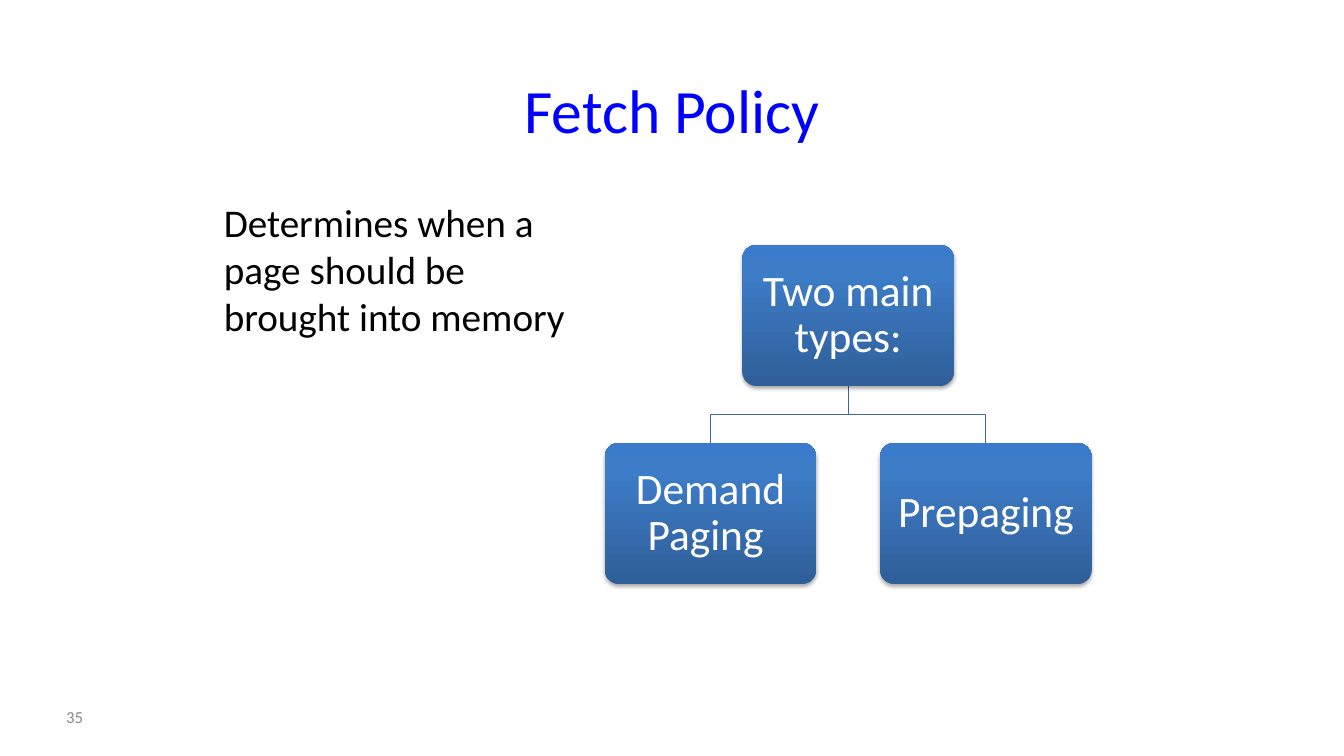
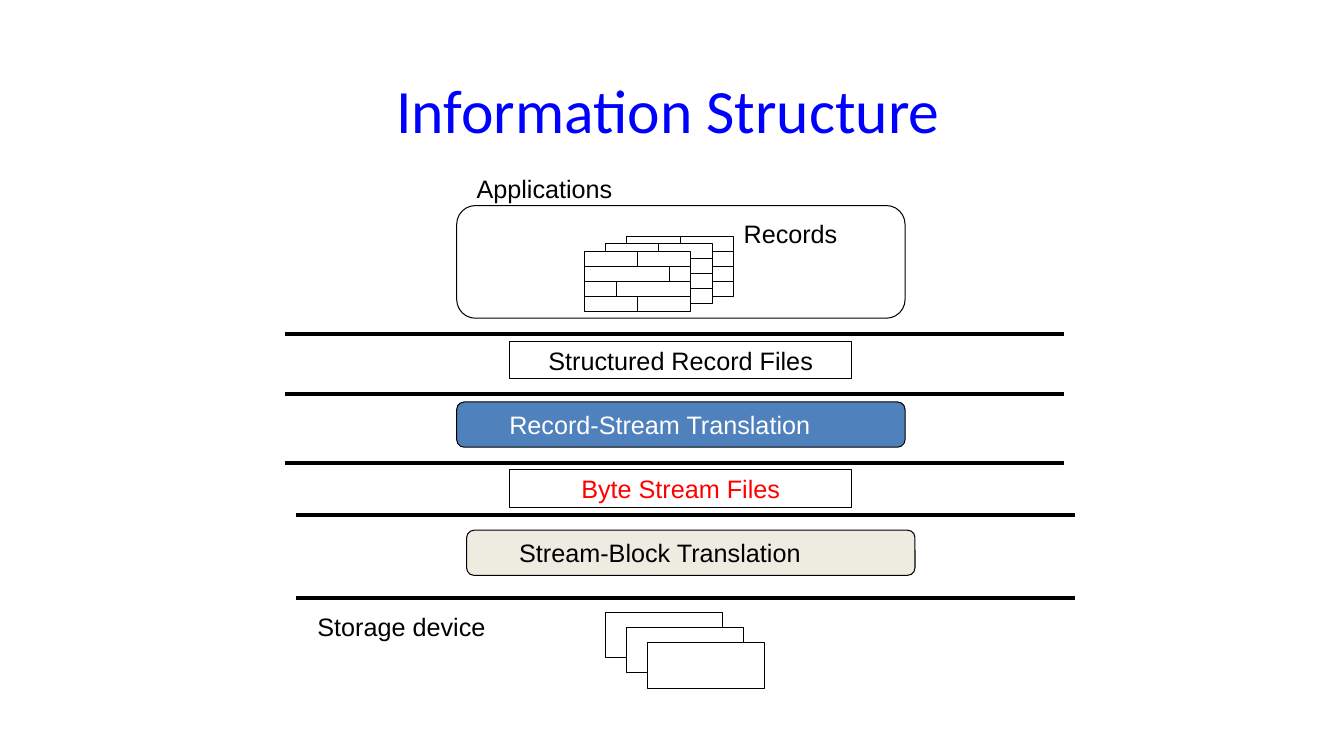
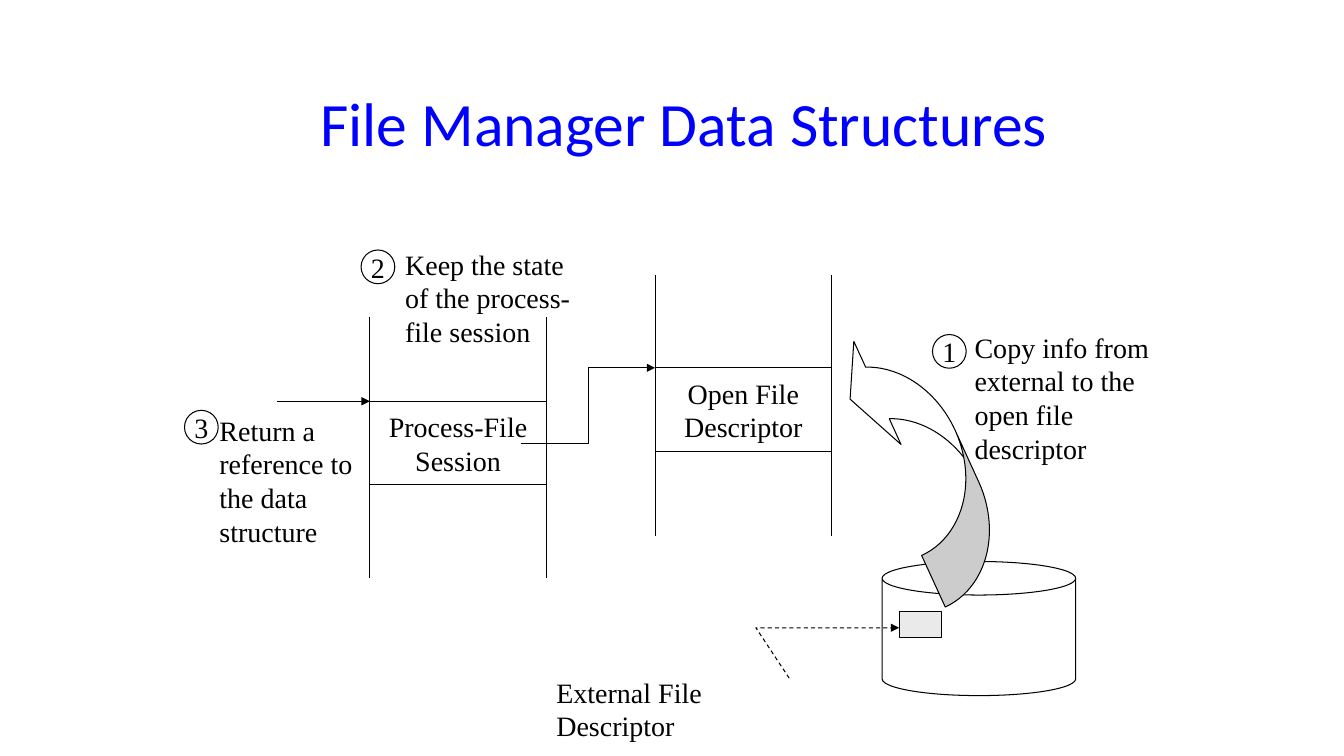
from dataclasses import dataclass
from typing import NamedTuple, Sequence

from lxml.etree import SubElement
from pptx import Presentation
from pptx.dml.color import RGBColor
from pptx.enum.dml import MSO_LINE
from pptx.enum.shapes import MSO_CONNECTOR as CONN, MSO_SHAPE as SHAPE
from pptx.enum.text import MSO_ANCHOR as ANCHOR, PP_ALIGN as ALIGN
from pptx.oxml import parse_xml
from pptx.oxml.ns import nsdecls, qn
from pptx.util import Cm, Pt

# Shared look
BLACK, WHITE, RED = "000000", "FFFFFF", "FF0000"
BLUE, CREAM, GREY = "4F81BD", "EEECE1", "EAEAEA"
TREE_LINE = "3F6797"
NODE_STOPS = ((0, "2F5F99"), (80, "3D7CC7"), (100, "3A7CCB"))


class Style(NamedTuple):
    font: str
    size: float
    color: str = BLACK


TITLE = Style("Calibri", 44, "0000FF")
BODY = Style("Calibri", 28)
NODE = Style("Calibri", 31, WHITE)
PAGE_NUMBER = Style("Calibri", 12, "898989")
LABEL = Style("Arial", 18)
SERIF = Style("Times New Roman", 20)


class Box(NamedTuple):
    """Position and size in centimetres."""
    x: float
    y: float
    w: float
    h: float

    def emu(self) -> list:
        return [Cm(v) for v in self]


class Point(NamedTuple):
    x: float
    y: float


@dataclass
class Layer:
    box: Box
    text: str
    color: str = BLACK
    fill: str = WHITE
    rounded: bool = False


@dataclass
class FileTable:
    entry: Box
    rail_top: float
    lines: Sequence[str]


@dataclass
class Step:
    number: str
    circle: Point
    box: Box
    text: str


# Drawing helpers
def rgb(color: str) -> RGBColor:
    return RGBColor.from_string(color)


def write(tf, lines: Sequence[str], style: Style, align=ALIGN.LEFT,
          anchor=ANCHOR.TOP, wrap: bool = True, spacing: float = 1.0) -> None:
    tf.word_wrap = wrap
    tf.vertical_anchor = anchor
    for i, line in enumerate(lines):
        p = tf.paragraphs[0] if i == 0 else tf.add_paragraph()
        p.alignment = align
        p.line_spacing = spacing
        r = p.add_run()
        r.text = line
        r.font.name = style.font
        r.font.size = Pt(style.size)
        r.font.color.rgb = rgb(style.color)


def add_label(s, box: Box, text: str, style: Style, **layout) -> None:
    write(s.shapes.add_textbox(*box.emu()).text_frame, [text], style, **layout)


def add_title(s, box: Box, text: str) -> None:
    add_label(s, box, text, TITLE, align=ALIGN.CENTER, anchor=ANCHOR.MIDDLE)


def set_line(sp, color: str = BLACK, width: float = 0.75,
             dashed: bool = False, arrow: bool = False) -> None:
    sp.line.color.rgb = rgb(color)
    sp.line.width = Pt(width)
    if dashed:
        sp.line.dash_style = MSO_LINE.DASH
    if arrow:
        ln = sp._element.spPr.find(qn("a:ln"))
        SubElement(ln, qn("a:tailEnd"), type="triangle")


def add_box(s, kind, box: Box, fill: str = WHITE):
    sp = s.shapes.add_shape(kind, *box.emu())
    sp.shadow.inherit = False
    sp.fill.solid()
    sp.fill.fore_color.rgb = rgb(fill)
    set_line(sp)
    return sp


def add_line(s, start: Point, end: Point, kind=CONN.STRAIGHT, **look) -> None:
    c = s.shapes.add_connector(kind, *(Cm(v) for v in (*start, *end)))
    set_line(c, **look)
    SubElement(c._element.spPr, qn("a:effectLst"))


def add_polyline(s, points: Sequence[Point], **look) -> None:
    start, *rest = [(Cm(p.x), Cm(p.y)) for p in points]
    builder = s.shapes.build_freeform(*start)
    builder.add_line_segments(rest, close=False)
    sp = builder.convert_to_shape()
    sp.shadow.inherit = False
    sp.fill.background()
    set_line(sp, **look)


# Slide: fetch policy
def add_node(s, box: Box, text: str) -> None:
    sp = s.shapes.add_shape(SHAPE.ROUNDED_RECTANGLE, *box.emu())
    sp.adjustments[0] = 0.1
    sp.line.fill.background()
    sp.shadow.inherit = False
    spPr = sp._element.spPr
    stops = "".join(f'<a:gs pos="{pos * 1000}"><a:srgbClr val="{color}"/></a:gs>'
                    for pos, color in NODE_STOPS)
    spPr.find(qn("a:prstGeom")).addnext(parse_xml(
        f'<a:gradFill {nsdecls("a")} rotWithShape="1"><a:gsLst>{stops}</a:gsLst>'
        '<a:lin ang="16200000" scaled="0"/></a:gradFill>'))
    spPr.find(qn("a:effectLst")).append(parse_xml(
        f'<a:outerShdw {nsdecls("a")} blurRad="{Pt(3.1)}" dist="{Pt(1.8)}" '
        'dir="5400000" rotWithShape="0"><a:srgbClr val="000000">'
        '<a:alpha val="35000"/></a:srgbClr></a:outerShdw>'))
    tf = sp.text_frame
    tf.margin_left = tf.margin_right = tf.margin_top = tf.margin_bottom = Cm(0.2)
    write(tf, [text], NODE, ALIGN.CENTER, ANCHOR.MIDDLE, spacing=0.9)


def fetch_policy(s) -> None:
    add_title(s, Box(6.07, 1.27, 21.74, 2.97), "Fetch Policy")
    add_label(s, Box(5.39, 4.88, 9.53, 4.45),
              "Determines when a page should be brought into memory", BODY)

    # Tree with the root centred over its children
    w, h, pitch = 5.33, 3.56, 6.94
    left, root_y, child_y = 15.24, 6.17, 11.16
    root = Box(left + pitch / 2, root_y, w, h)
    root_mid, root_end = root.x + w / 2, root_y + h
    bend = (root_end + child_y) / 2
    for i, text in enumerate(("Demand Paging ", "Prepaging")):
        child = Box(left + i * pitch, child_y, w, h)
        mid = child.x + w / 2
        add_polyline(s, [Point(root_mid, root_end), Point(root_mid, bend),
                         Point(mid, bend), Point(mid, child_y)], color=TREE_LINE)
        add_node(s, child, text)
    add_node(s, root, "Two main types:")

    add_label(s, Box(1.42, 17.56, 3.66, 1.02), "35", PAGE_NUMBER,
              anchor=ANCHOR.MIDDLE)


# Slide: information structure
def add_record(s, x: float, y: float) -> None:
    width, row_height = 2.69, 0.38
    for row, share in enumerate((0.5, 0.8, 0.3, 0.5)):
        top, cut = y + row * row_height, width * share
        add_box(s, SHAPE.RECTANGLE, Box(x, top, cut, row_height))
        add_box(s, SHAPE.RECTANGLE, Box(x + cut, top, width - cut, row_height))


def add_layer(s, layer: Layer) -> None:
    kind = SHAPE.ROUNDED_RECTANGLE if layer.rounded else SHAPE.RECTANGLE
    sp = add_box(s, kind, layer.box, layer.fill)
    if layer.rounded:
        sp.text_frame.margin_left = Cm(1.27)
    write(sp.text_frame, [layer.text], LABEL._replace(color=layer.color),
          ALIGN.LEFT if layer.rounded else ALIGN.CENTER, ANCHOR.MIDDLE,
          wrap=layer.rounded)


def information_structure(s) -> None:
    add_title(s, Box(6.15, 1.27, 21.39, 2.97), "Information Structure")

    # Applications and their records
    add_box(s, SHAPE.ROUNDED_RECTANGLE, Box(11.51, 5.18, 11.3, 2.84))
    for i in range(3):
        add_record(s, 15.8 - i * 0.54, 5.95 + i * 0.19)

    # Layers
    for layer in (
        Layer(Box(12.85, 8.61, 8.61, 0.94), "Structured Record Files"),
        Layer(Box(11.51, 10.13, 11.3, 1.14), "Record-Stream Translation",
              WHITE, BLUE, rounded=True),
        Layer(Box(12.85, 11.84, 8.61, 0.94), "Byte Stream Files", RED),
        Layer(Box(11.76, 13.36, 11.3, 1.14), "Stream-Block Translation",
              fill=CREAM, rounded=True),
    ):
        add_layer(s, layer)

    # Storage blocks
    for i in range(3):
        add_box(s, SHAPE.RECTANGLE,
                Box(15.27 + i * 0.53, 15.44 + i * 0.38, 2.95, 1.14))

    # Layer borders
    for x, y in ((7.19, 8.41), (7.19, 9.93), (7.19, 11.66),
                 (7.47, 12.98), (7.47, 15.06)):
        add_line(s, Point(x, y), Point(x + 19.63, y), width=3)

    for box, text in ((Box(11.76, 4.24, 3.96, 1.02), "Applications"),
                      (Box(18.49, 5.38, 2.9, 1.02), "Records"),
                      (Box(7.75, 15.27, 4.78, 1.02), "Storage device")):
        add_label(s, box, text, LABEL, wrap=False)


# Slide: file manager data structures
def add_file_table(s, table: FileTable) -> None:
    entry, rail = table.entry, 6.57
    sp = add_box(s, SHAPE.RECTANGLE, entry)
    write(sp.text_frame, table.lines, SERIF, ALIGN.CENTER, ANCHOR.MIDDLE,
          wrap=False)
    for x in (entry.x, entry.x + entry.w):
        add_line(s, Point(x, table.rail_top), Point(x, table.rail_top + rail))


def add_step(s, step: Step) -> None:
    add_label(s, step.box, step.text, SERIF)
    sp = add_box(s, SHAPE.OVAL, Box(*step.circle, 0.85, 0.85))
    write(sp.text_frame, [step.number], SERIF, ALIGN.CENTER, ANCHOR.MIDDLE,
          wrap=False)


def file_manager(s) -> None:
    add_title(s, Box(6.55, 1.07, 21.39, 4.01), "File Manager Data Structures")

    # Disk with the external descriptor
    add_box(s, SHAPE.CAN, Box(22.23, 14.15, 4.88, 3.38))
    add_box(s, SHAPE.RECTANGLE, Box(22.66, 15.42, 1.07, 0.64), GREY)
    add_label(s, Box(13.77, 16.89, 7.25, 1.09), "External File Descriptor", SERIF)
    add_polyline(s, [Point(19.89, 17.09), Point(19.05, 15.82),
                     Point(22.66, 15.82)], dashed=True, arrow=True)

    # Tables
    for table in (
        FileTable(Box(16.51, 9.27, 4.45, 2.11), 6.93, ("Open File", "Descriptor")),
        FileTable(Box(9.32, 10.11, 4.45, 2.11), 8, ("Process-File", "Session")),
    ):
        add_file_table(s, table)

    # Arrows
    copy_arrow = add_box(s, SHAPE.CURVED_LEFT_ARROW, Box(22.23, 8, 2.08, 7.19))
    for i, value in enumerate((0.687, 1.374, 0.333)):
        copy_arrow.adjustments[i] = value
    copy_arrow.rotation = 335.4
    copy_arrow._element.spPr.find(qn("a:xfrm")).set("flipV", "1")
    add_line(s, Point(13.13, 11.18), Point(16.51, 9.27), CONN.ELBOW, arrow=True)
    add_line(s, Point(6.99, 10.11), Point(9.32, 10.11), arrow=True)

    # Numbered steps
    for step in (
        Step("1", Point(23.5, 8.43), Box(24.31, 8.2, 4.9, 3.63),
             "Copy info from external to the open file descriptor"),
        Step("2", Point(9.1, 6.3), Box(9.96, 6.1, 4.9, 2.79),
             "Keep the state of the process-file session"),
        Step("3", Point(4.65, 10.34), Box(5.28, 10.29, 4.65, 3.63),
             "Return a reference to the data structure"),
    ):
        add_step(s, step)


def main() -> None:
    prs = Presentation()
    prs.slide_width, prs.slide_height = Cm(33.87), Cm(19.05)
    blank = prs.slide_layouts[6]
    for draw in (fetch_policy, information_structure, file_manager):
        draw(prs.slides.add_slide(blank))
    prs.save("out.pptx")


if __name__ == "__main__":
    main()
